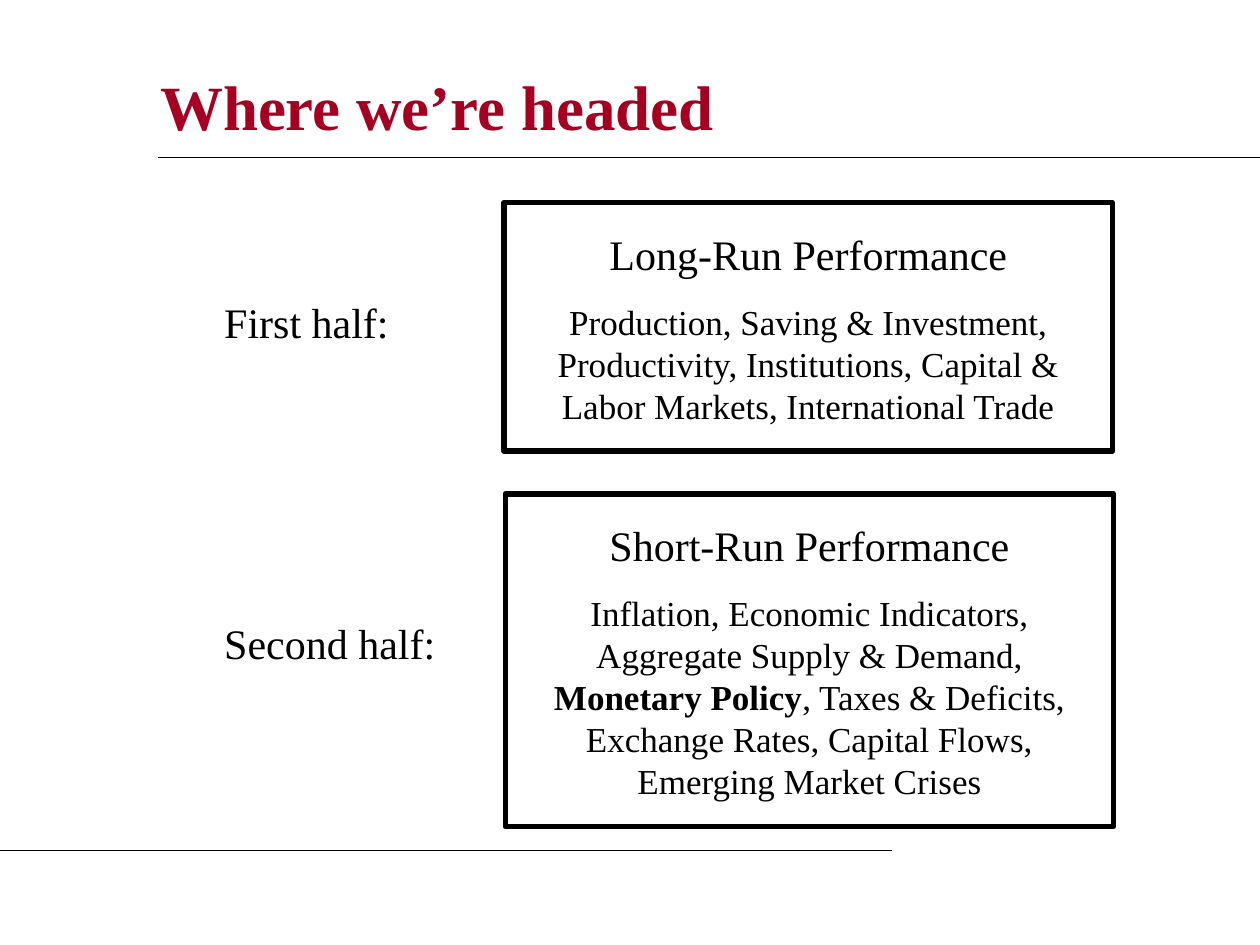
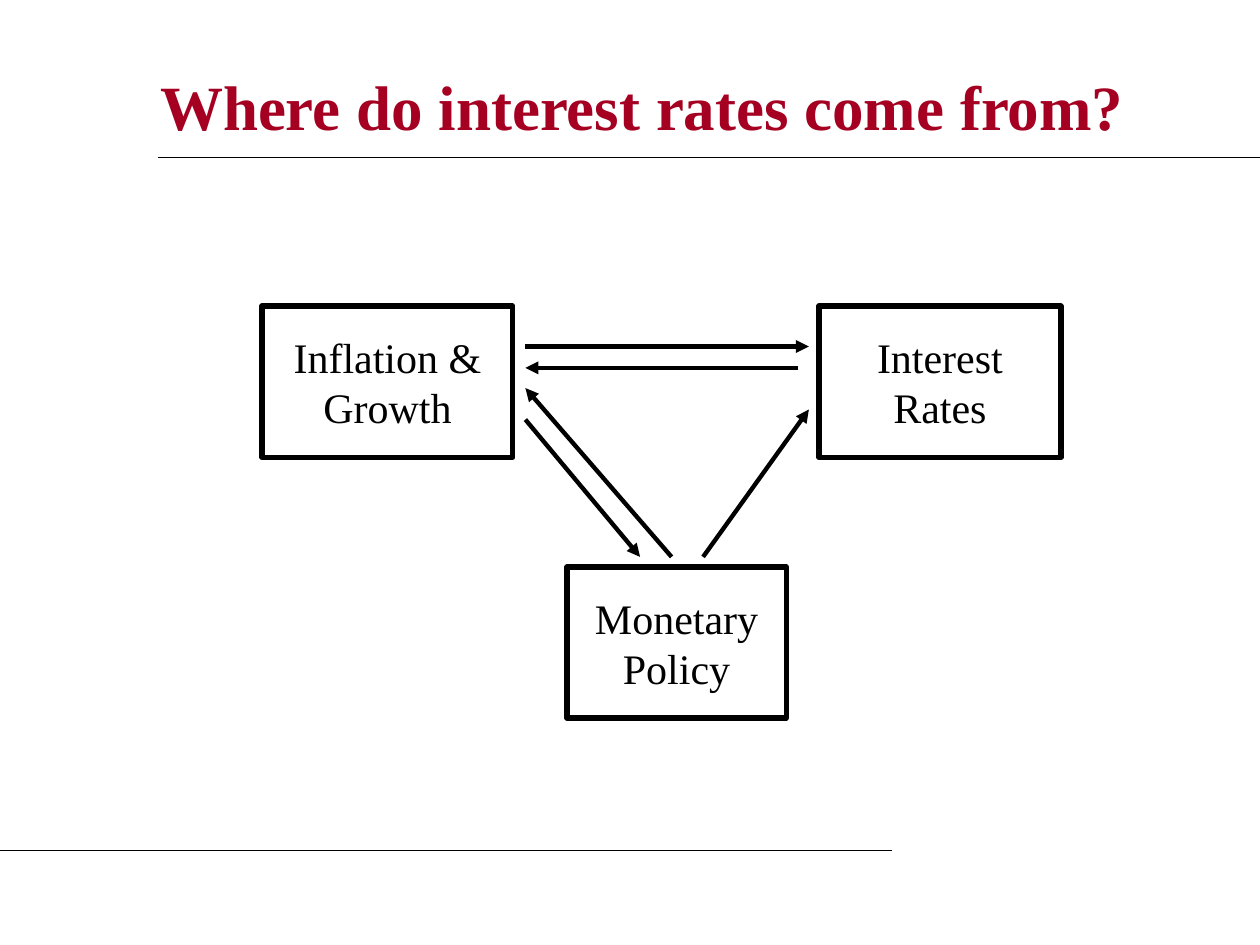
from lxml.etree import SubElement
from pptx import Presentation
from pptx.dml.color import RGBColor
from pptx.enum.shapes import MSO_CONNECTOR, MSO_SHAPE
from pptx.enum.text import MSO_ANCHOR as ANCHOR, MSO_AUTO_SIZE as AUTO, PP_ALIGN as ALIGN
from pptx.oxml.ns import qn
from pptx.util import Inches, Pt

FONT = "Times New Roman"
BLACK, CRIMSON = "000000", "A50021"
HEAD, DETAIL, TITLE = 24, 20, 36
RULES = [((1.25, 1.25), (10, 1.25)), ((0, 6.75), (7.08, 6.75))]

# Each half: label, label place, label line spacing, box place, heading, topic runs (text, bold)
HALVES = [
    ("First half:", (1.58, 2.33, 2.33, 0.6), 0.5, (4, 1.61, 4.83, 1.97),
     "Long-Run Performance",
     [("Production, Saving & Investment, Productivity, Institutions, "
       "Capital & Labor Markets, International Trade", False)]),
    ("Second half:", (1.58, 4.7, 2.33, 0.8), None, (4.01, 3.92, 4.83, 2.64),
     "Short-Run Performance",
     [("Inflation, Economic Indicators, Aggregate Supply & Demand, ", False),
      ("Monetary Policy", True),
      (", Taxes & Deficits, Exchange Rates, Capital Flows, "
       "Emerging Market Crises", False)]),
]

FACTORS = [
    ("Inflation & Growth", (2.08, 2.43, 1.99, 1.2)),
    ("Interest Rates", (6.5, 2.43, 1.92, 1.2)),
    ("Monetary Policy", (4.5, 4.5, 1.74, 1.2)),
]
INFLUENCES = [
    ((4.17, 2.75), (6.42, 2.75)),
    ((6.33, 2.92), (4.17, 2.92)),
    ((4.17, 3.33), (5.08, 4.42)),
    ((5.33, 4.42), (4.17, 3.08)),
    ((5.58, 4.42), (6.42, 3.25)),
]


def color(hex_code):
    return RGBColor.from_string(hex_code)


def inches(values):
    return [Inches(v) for v in values]


def add_run(p, text, size, bold=False, hex_code=BLACK):
    r = p.add_run()
    r.text = text
    r.font.name, r.font.size, r.font.bold = FONT, Pt(size), bold
    r.font.color.rgb = color(hex_code)


def add_line(s, start, end, width, arrow=False):
    line = s.shapes.add_connector(MSO_CONNECTOR.STRAIGHT, *inches(start + end))
    line.line.color.rgb = color(BLACK)
    line.line.width = Pt(width)
    if arrow:
        SubElement(line.line._get_or_add_ln(), qn("a:tailEnd"), type="triangle")
    SubElement(line._element.spPr, qn("a:effectLst"))


def set_frame(sp):
    """Give a shape the wide margins shared by all boxes and labels."""
    tf = sp.text_frame
    tf.word_wrap = True
    tf.auto_size = AUTO.NONE
    tf.vertical_anchor = ANCHOR.TOP
    tf.margin_left = tf.margin_right = tf.margin_top = tf.margin_bottom = Inches(0.2)
    return tf


def add_box(s, place, heading):
    sp = s.shapes.add_shape(MSO_SHAPE.RECTANGLE, *inches(place))
    sp.shadow.inherit = False
    sp.fill.background()
    sp.line.color.rgb = color(BLACK)
    sp.line.width = Pt(3)
    tf = set_frame(sp)
    p = tf.paragraphs[0]
    p.alignment = ALIGN.CENTER
    add_run(p, heading, HEAD)
    return tf


def add_label(s, place, text, spacing):
    p = set_frame(s.shapes.add_textbox(*inches(place))).paragraphs[0]
    p.line_spacing = spacing
    add_run(p, text, HEAD)


def add_slide(prs, title):
    s = prs.slides.add_slide(prs.slide_layouts[5])
    sp = s.shapes.title
    sp.left, sp.top, sp.width, sp.height = inches((1.17, 0.42, 8.08, 0.83))
    tf = sp.text_frame
    tf.auto_size = AUTO.NONE
    tf.vertical_anchor = ANCHOR.MIDDLE
    p = tf.paragraphs[0]
    p.alignment = ALIGN.LEFT
    add_run(p, title, TITLE, True, CRIMSON)
    for start, end in RULES:
        add_line(s, start, end, 0.75)
    return s


def build_outlook(prs):
    s = add_slide(prs, "Where we’re headed")
    for label, label_place, spacing, box_place, heading, topics in HALVES:
        p = add_box(s, box_place, heading).add_paragraph()
        p.alignment = ALIGN.CENTER
        p.space_before = Pt(12.5)
        for text, bold in topics:
            add_run(p, text, DETAIL, bold)
        add_label(s, label_place, label, spacing)


def build_rates(prs):
    s = add_slide(prs, "Where do interest rates come from?")
    for name, place in FACTORS:
        add_box(s, place, name)
    for start, end in INFLUENCES:
        add_line(s, start, end, 2.5, arrow=True)


def main():
    prs = Presentation()
    prs.slide_width, prs.slide_height = Inches(10), Inches(7.5)
    build_outlook(prs)
    build_rates(prs)
    prs.save("out.pptx")


if __name__ == "__main__":
    main()
